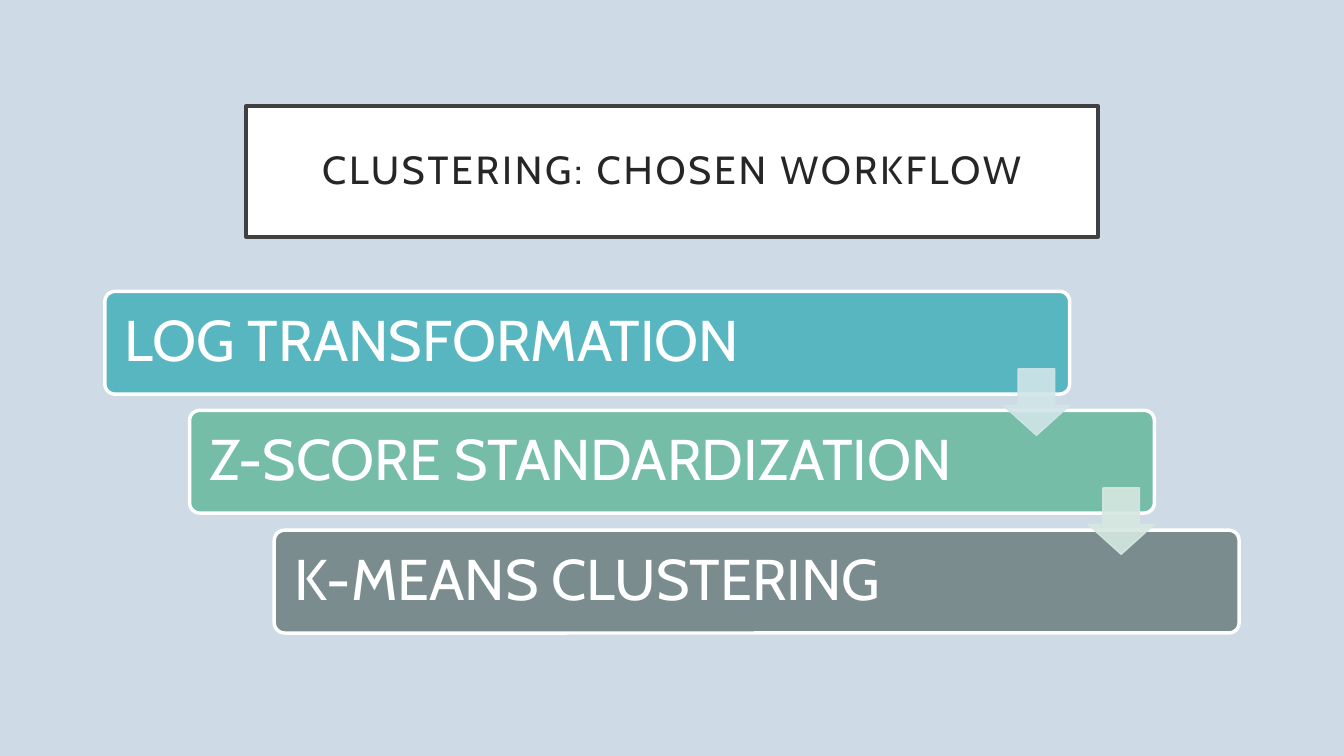
from lxml import etree
from pptx import Presentation
from pptx.dml.color import RGBColor
from pptx.enum.shapes import MSO_SHAPE
from pptx.enum.text import MSO_ANCHOR, PP_ALIGN
from pptx.oxml.ns import qn
from pptx.util import Pt

RECTANGLE = MSO_SHAPE.RECTANGLE
ROUNDED = MSO_SHAPE.ROUNDED_RECTANGLE
DOWN_ARROW = MSO_SHAPE.DOWN_ARROW
MIDDLE = MSO_ANCHOR.MIDDLE
LEFT = PP_ALIGN.LEFT
CENTER = PP_ALIGN.CENTER

EMU_PER_PX = 9144
FONT = "Cabin"
STEPS = [
    ("LOG TRANSFORMATION", "58B6C0", "D1E5E8"),
    ("Z-SCORE STANDARDIZATION", "75BDA7", "D6E8E1"),
    ("K-MEANS CLUSTERING", "7A8C8E", None),
]


def px(length):
    return length * EMU_PER_PX


def paint(color_format, color):
    color_format.rgb = RGBColor.from_string(color)


def add_box(page, kind, left, top, width, height, fill, line, line_width):
    box = page.shapes.add_shape(kind, px(left), px(top), px(width), px(height))
    box.shadow.inherit = False
    box.fill.solid()
    paint(box.fill.fore_color, fill)
    paint(box.line.color, line)
    box.line.width = Pt(line_width)
    return box


def write(box, text, size, color, align, inset):
    frame = box.text_frame
    frame.word_wrap = True
    frame.vertical_anchor = MIDDLE
    frame.margin_left = frame.margin_right = px(inset)
    frame.margin_top = frame.margin_bottom = px(inset)
    frame.text = text
    para = frame.paragraphs[0]
    para.alignment = align
    para.line_spacing = 0.9
    span = para.runs[0]
    span.font.name = FONT
    span.font.size = Pt(size)
    paint(span.font.color, color)
    return span


def add_title(page, text):
    box = add_box(page, RECTANGLE, 244, 105, 845, 130, "FFFFFF", "404040", 2.5)
    span = write(box, text, 28, "262626", CENTER, 20)
    span.font._element.set("spc", "200")


def add_step(page, left, top, text, fill):
    bar = add_box(page, ROUNDED, left, top, 957, 102, fill, "FFFFFF", 2.5)
    bar.adjustments[0] = 0.1
    write(bar, text, 41, "FFFFFF", LEFT, 17)


def add_arrow(page, left, top, color):
    arrow = add_box(page, DOWN_ARROW, left, top, 66, 66, color, color, 1)
    arrow.adjustments[0] = 0.55
    arrow.adjustments[1] = 0.45
    for tint in arrow._element.spPr.iter(qn("a:srgbClr")):
        etree.SubElement(tint, qn("a:alpha")).set("val", "90000")


def main():
    deck = Presentation()
    deck.slide_width = px(1333)
    deck.slide_height = px(750)
    page = deck.slides.add_slide(deck.slide_layouts[6])
    page.background.fill.solid()
    paint(page.background.fill.fore_color, "CEDBE6")

    add_title(page, "CLUSTERING: CHOSEN WORKFLOW")
    corners = [(104 + 84 * i, 289 + 237 * i // 2) for i in range(len(STEPS))]
    for (left, top), (text, fill, _) in zip(corners, STEPS):
        add_step(page, left, top, text, fill)
    for (left, top), (_, _, arrow_color) in zip(corners, STEPS):
        if arrow_color:
            add_arrow(page, left + 891, top + 77, arrow_color)

    deck.save("out.pptx")


if __name__ == "__main__":
    main()
